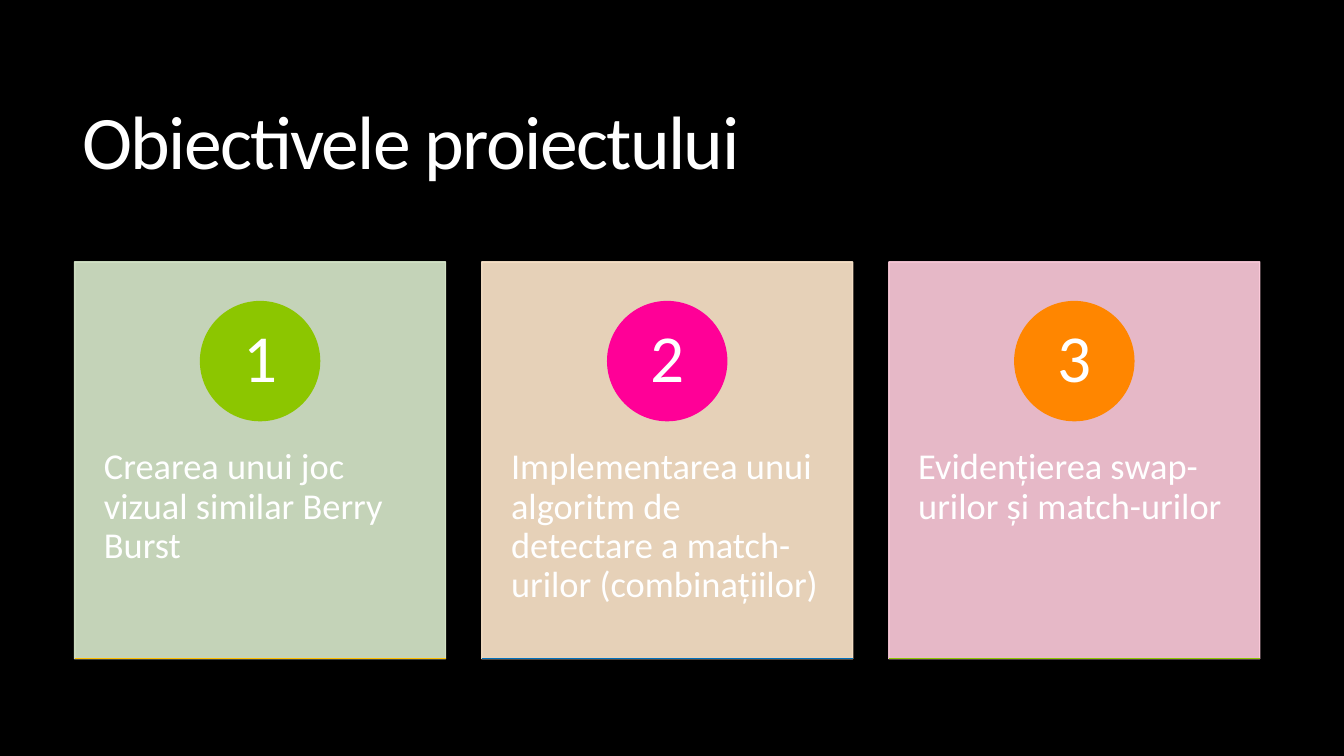
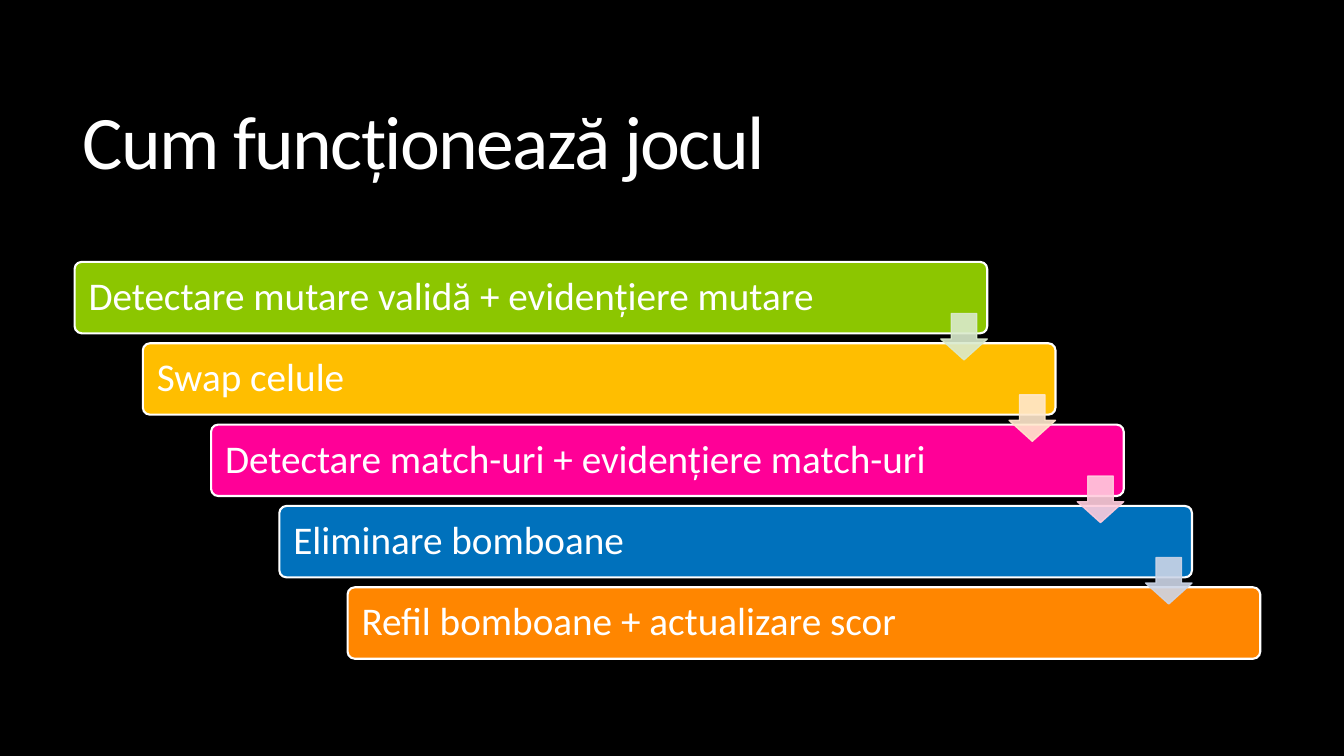
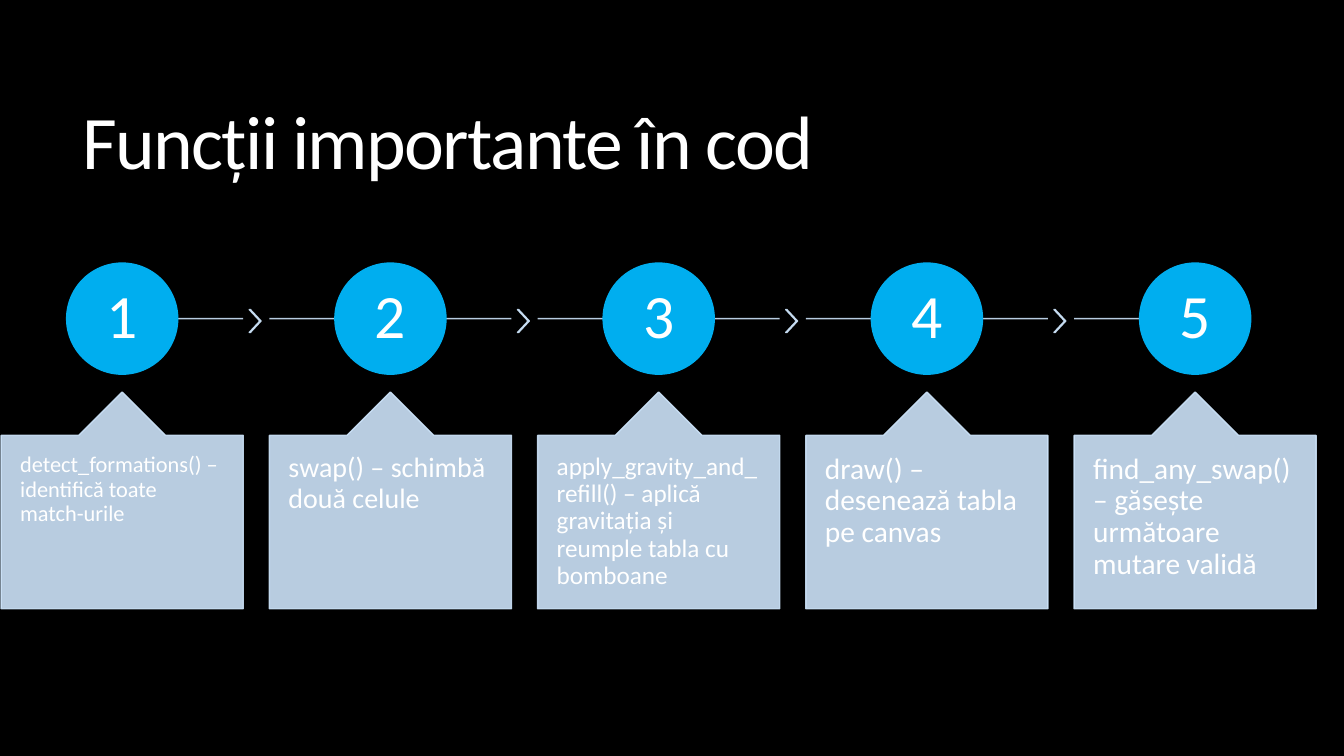
from dataclasses import dataclass
from typing import Any

import pptx
import pptx.dml.color
import pptx.enum.shapes
import pptx.enum.text
import pptx.oxml
import pptx.oxml.ns
import pptx.util

Cm = pptx.util.Cm
Pt = pptx.util.Pt
Preset = pptx.enum.shapes.MSO_SHAPE
Align = pptx.enum.text.PP_ALIGN
Anchor = pptx.enum.text.MSO_ANCHOR


@dataclass(frozen=True)
class Theme:
    font: str = "Calibri"
    background: str = "000000"
    text: str = "FFFFFF"
    green: str = "8CC600"
    yellow: str = "FFBE00"
    pink: str = "FF0097"
    blue: str = "0071BC"
    orange: str = "FF8600"
    cyan: str = "00AEEF"
    pale_green: str = "DAEACC"
    pale_orange: str = "FFE8CC"
    pale_pink: str = "FFCCDD"
    pale_blue: str = "CCD5E7"
    pale_cyan: str = "CCE3F9"
    pale_opacity: int = 90
    title_size: float = 54
    title_tracking: int = -120
    title_spacing: float = 0.85
    body_spacing: float = 0.9
    card_size: float = 26
    card_number_size: float = 48
    step_size: float = 28
    function_number_size: float = 44


THEME = Theme()
CONTENT_LEFT = 1.88
CONTENT_TOP = 6.6


@dataclass(frozen=True)
class Area:
    """A rectangle in centimetres."""
    left: float
    top: float
    width: float
    height: float

    @property
    def center(self) -> float:
        return self.left + self.width / 2

    @property
    def right(self) -> float:
        return self.left + self.width

    @property
    def bottom(self) -> float:
        return self.top + self.height

    def lengths(self) -> list[int]:
        return [Cm(value) for value in (self.left, self.top, self.width, self.height)]


@dataclass(frozen=True)
class Insets:
    left: float = 0
    top: float = 0
    right: float = 0
    bottom: float = 0


@dataclass(frozen=True)
class Objective:
    text: str
    card_color: str
    circle_color: str
    rule_color: str


@dataclass(frozen=True)
class Step:
    text: str
    color: str
    arrow_color: str | None = None


@dataclass(frozen=True)
class GameFunction:
    text: str
    size: float


OBJECTIVES = [
    Objective("Crearea unui joc vizual similar Berry Burst",
              THEME.pale_green, THEME.green, THEME.yellow),
    Objective("Implementarea unui algoritm de detectare a match-urilor (combinațiilor)",
              THEME.pale_orange, THEME.pink, THEME.blue),
    Objective("Evidențierea swap-urilor și match-urilor",
              THEME.pale_pink, THEME.orange, THEME.green),
]
STEPS = [
    Step("Detectare mutare validă + evidențiere mutare", THEME.green, THEME.pale_green),
    Step("Swap celule", THEME.yellow, THEME.pale_orange),
    Step("Detectare match-uri + evidențiere match-uri", THEME.pink, THEME.pale_pink),
    Step("Eliminare bomboane", THEME.blue, THEME.pale_blue),
    Step("Refil bomboane + actualizare scor", THEME.orange),
]
FUNCTIONS = [
    GameFunction("detect_formations() – identifică toate match-urile", 16),
    GameFunction("swap() – schimbă două celule", 20),
    GameFunction("apply_gravity_and_refill() – aplică gravitația și reumple tabla cu bomboane", 18),
    GameFunction("draw() – desenează tabla pe canvas", 21),
    GameFunction("find_any_swap() – găsește următoare mutare validă", 21),
]


def rgb(color: str) -> pptx.dml.color.RGBColor:
    return pptx.dml.color.RGBColor.from_string(color)


def set_opacity(shape: Any, percent: int) -> None:
    """Apply one opacity to every fill and line colour of the shape."""
    for color in shape.element.spPr.iter(pptx.oxml.ns.qn("a:srgbClr")):
        alpha = pptx.oxml.parse_xml(
            f'<a:alpha {pptx.oxml.ns.nsdecls("a")} val="{percent * 1000}"/>')
        color.append(alpha)


def write(shape: Any, text: str, size: float, insets: Insets = Insets(),
          align: Any = Align.LEFT, anchor: Any = Anchor.MIDDLE,
          spacing: float = THEME.body_spacing) -> Any:
    """Set the shape's single paragraph and return its run."""
    frame = shape.text_frame
    frame.text = text
    frame.word_wrap = True
    frame.vertical_anchor = anchor
    frame.margin_left, frame.margin_right = Cm(insets.left), Cm(insets.right)
    frame.margin_top, frame.margin_bottom = Cm(insets.top), Cm(insets.bottom)
    para = frame.paragraphs[0]
    para.alignment = align
    para.line_spacing = spacing
    span = para.runs[0]
    span.font.name = THEME.font
    span.font.size = Pt(size)
    span.font.color.rgb = rgb(THEME.text)
    return span


def add_figure(page: Any, preset: Any, area: Area, fill: str, line: str | None = None,
               line_width: float = 1, opacity: int = 100,
               adjustments: tuple[float, ...] = ()) -> Any:
    shape = page.shapes.add_shape(preset, *area.lengths())
    shape.shadow.inherit = False
    for index, value in enumerate(adjustments):
        shape.adjustments[index] = value
    shape.fill.solid()
    shape.fill.fore_color.rgb = rgb(fill)
    shape.line.color.rgb = rgb(line or fill)
    shape.line.width = Pt(line_width)
    if opacity < 100:
        set_opacity(shape, opacity)
    return shape


def add_rule(page: Any, left: float, right: float, height: float, color: str,
             opacity: int = 100) -> None:
    rule = page.shapes.add_connector(pptx.enum.shapes.MSO_CONNECTOR.STRAIGHT,
                                     Cm(left), Cm(height), Cm(right), Cm(height))
    rule.line.color.rgb = rgb(color)
    rule.line.width = Pt(1)
    rule.element.spPr.append(
        pptx.oxml.parse_xml(f'<a:effectLst {pptx.oxml.ns.nsdecls("a")}/>'))
    if opacity < 100:
        set_opacity(rule, opacity)


def add_numbered_circle(page: Any, number: int, center: float, top: float,
                        diameter: float, color: str, size: float) -> None:
    area = Area(center - diameter / 2, top, diameter, diameter)
    circle = add_figure(page, Preset.OVAL, area, color)
    write(circle, str(number), size, align=Align.CENTER)


def add_page(deck: Any, title: str) -> Any:
    page = deck.slides.add_slide(deck.slide_layouts[6])
    page.background.fill.solid()
    page.background.fill.fore_color.rgb = rgb(THEME.background)
    box = page.shapes.add_textbox(*Area(1.83, 1.4, 29.92, 4.6).lengths())
    span = write(box, title, THEME.title_size, Insets(0.25, 0.13, 0.25, 0.13),
                 spacing=THEME.title_spacing)
    span.font._element.set("spc", str(THEME.title_tracking))
    return page


def build_objectives(deck: Any) -> None:
    page = add_page(deck, "Obiectivele proiectului")
    pitch = 10.26
    for index, objective in enumerate(OBJECTIVES):
        area = Area(CONTENT_LEFT + index * pitch, CONTENT_TOP, 9.35, 10)
        card = add_figure(page, Preset.RECTANGLE, area, objective.card_color,
                          opacity=THEME.pale_opacity)
        write(card, objective.text, THEME.card_size, Insets(0.74, 4.7, 0.74, 0.9),
              anchor=Anchor.TOP)
        add_numbered_circle(page, index + 1, area.center, area.top + 1, 3,
                            objective.circle_color, THEME.card_number_size)
        add_rule(page, area.left, area.right, area.bottom, objective.rule_color)


def build_steps(deck: Any) -> None:
    page = add_page(deck, "Cum funcționează jocul")
    shift, pitch, arrow_side = 1.72, 2.05, 1.17
    areas = [Area(CONTENT_LEFT + index * shift, CONTENT_TOP + index * pitch, 23, 1.8)
             for index in range(len(STEPS))]
    for step, area in zip(STEPS, areas):
        bar = add_figure(page, Preset.ROUNDED_RECTANGLE, area, step.color, THEME.text,
                         line_width=1.5, adjustments=(0.1,))
        write(bar, step.text, THEME.step_size, Insets(0.3, 0.3, 0.3, 0.3))
    for step, area in zip(STEPS, areas):
        if step.arrow_color:
            arrow = Area(area.right - arrow_side, area.top + 1.3, arrow_side, arrow_side)
            add_figure(page, Preset.DOWN_ARROW, arrow, step.arrow_color,
                       opacity=THEME.pale_opacity, adjustments=(0.55, 0.45))


def build_functions(deck: Any) -> None:
    page = add_page(deck, "Funcții importante în cod")
    pitch, last = 6.76, len(FUNCTIONS) - 1
    for index, function in enumerate(FUNCTIONS):
        area = Area(0.03 + index * pitch, 9.88, 6.1, 5.46)
        add_rule(page, area.center if index == 0 else area.left,
                 area.center if index == last else area.right,
                 8.03, THEME.pale_cyan, THEME.pale_opacity)
        if index < last:
            add_figure(page, Preset.CHEVRON, Area(area.left + 6.25, 7.8, 0.3, 0.58),
                       THEME.pale_cyan, opacity=THEME.pale_opacity, adjustments=(0.9,))
        add_numbered_circle(page, index + 1, area.center, 6.63, 2.8, THEME.cyan,
                            THEME.function_number_size)
        callout = add_figure(page, Preset.UP_ARROW_CALLOUT, area, THEME.pale_cyan,
                             opacity=THEME.pale_opacity, adjustments=(0.5, 0.2, 0.2, 1))
        write(callout, function.text, function.size, Insets(0.48, 0.46, 0.48, 0.46),
              anchor=Anchor.TOP)


def main() -> None:
    deck = pptx.Presentation()
    deck.slide_width, deck.slide_height = Cm(33.87), Cm(19.05)
    build_objectives(deck)
    build_steps(deck)
    build_functions(deck)
    deck.save("out.pptx")


if __name__ == "__main__":
    main()
